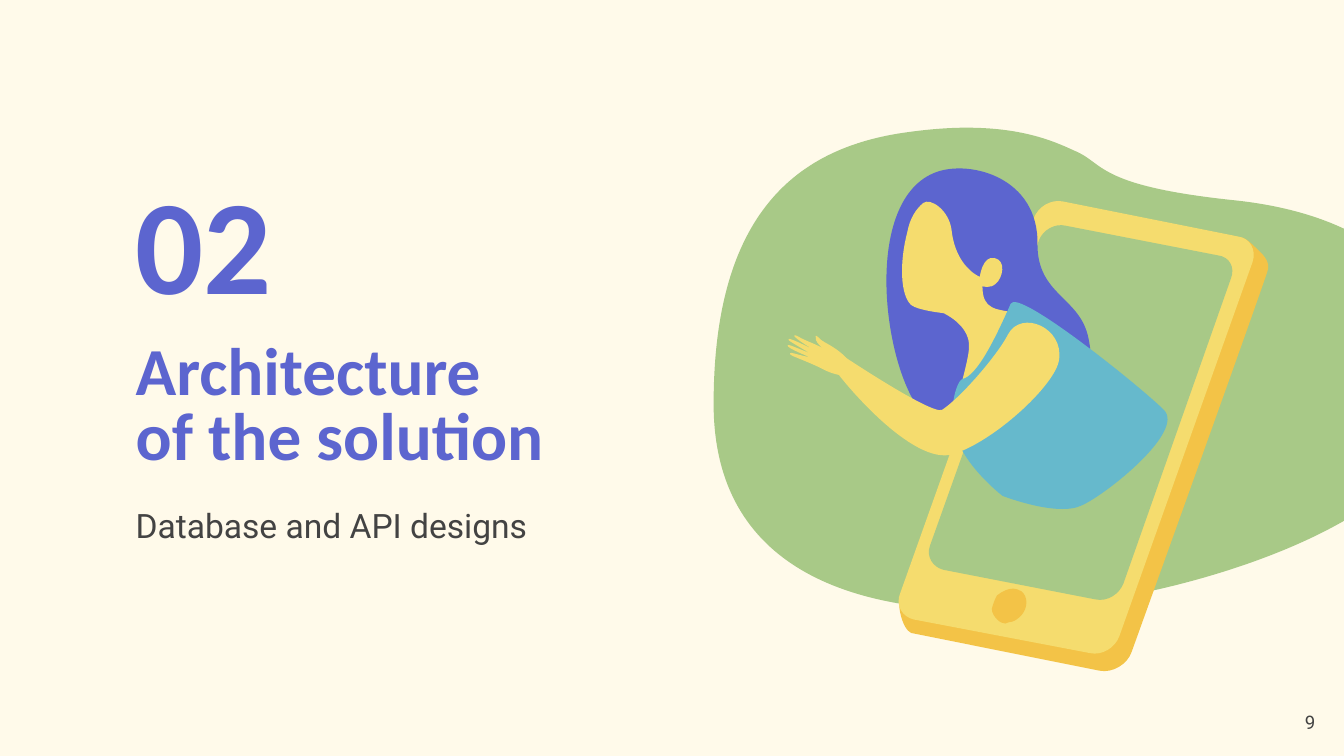
from pptx import Presentation
from pptx.dml.color import RGBColor
from pptx.enum.text import MSO_ANCHOR, MSO_AUTO_SIZE, PP_ALIGN
from pptx.oxml.ns import qn
from pptx.util import Pt

TOP, MIDDLE, BOTTOM = MSO_ANCHOR.TOP, MSO_ANCHOR.MIDDLE, MSO_ANCHOR.BOTTOM
CREAM, INDIGO, GREY = "FFFAEA", "5C65CF", "434343"
GREEN, YELLOW, AMBER, BLUE = "A8C987", "F5DC6E", "F3C347", "66B9CC"

HEADING_FONT = {"name": "Calibri", "bold": True}
BODY_FONT = {"name": "Roboto", "bold": False}
TITLE = ("Architecture\vof the solution", (65.5, 99.4, 306.7, 161.3), BOTTOM,
         INDIGO, {**HEADING_FONT, "size": Pt(36)})
TEXTS = [
    ("Database and API designs", (65.5, 263.5, 229.7, 88.6), TOP,
     GREY, {**BODY_FONT, "size": Pt(18)}),
    ("02", (65.5, 97.9, 150.5, 62.6), MIDDLE,
     INDIGO, {**HEADING_FONT, "size": Pt(72)}),
]
PAGE_NUMBER = ("9", (691.9, 373.7, 29.5, 19.4), TOP,
               GREY, {**BODY_FONT, "size": Pt(10)})

# Outlines: colour, start, then segments; two numbers are a line,
# six are a Bezier curve. One unit is UNIT points.
UNIT = 0.72
BLOB = (GREEN, (719, 95), [
    (707, 95, 693, 96, 678, 98), (598, 108, 532, 153, 531, 297),
    (529, 427, 641, 454, 732, 454), (793, 454, 845, 442, 845, 442),
    (845, 442, 1104, 396, 1078, 262), (1076, 254, 1062, 164, 918, 149),
    (814, 138, 822, 121, 799, 112), (782, 104, 759, 95, 719, 95)])
PHONE = [
    (AMBER, (943, 202), [
        (946, 194, 938, 188, 934, 184), (928, 178, 925, 177, 925, 177),
        (792, 151), (782, 149, 771, 155, 768, 165),
        (670, 444), (667, 448, 671, 468, 678, 471),
        (818, 499), (828, 501, 839, 494, 842, 485),
        (842, 485, 932, 235, 943, 202)]),
    (YELLOW, (932, 195), [
        (935, 186, 930, 177, 921, 176), (791, 150),
        (782, 148, 772, 154, 769, 163), (670, 441),
        (666, 450, 671, 459, 680, 461), (811, 486),
        (820, 488, 830, 482, 833, 473)]),
    (GREEN, (916, 207), [
        (919, 199, 915, 191, 906, 190), (793, 168),
        (785, 166, 776, 171, 773, 179), (692, 406),
        (689, 414, 694, 422, 702, 424), (815, 446),
        (824, 448, 833, 442, 836, 434)]),
    (AMBER, (754, 438), [
        (756, 438, 758, 439, 760, 440), (765, 444, 765, 452, 760, 458),
        (757, 461, 754, 463, 751, 463), (750, 464, 749, 464, 748, 464),
        (746, 464, 744, 463, 742, 461), (740, 459, 738, 456, 738, 453),
        (739, 450, 740, 446, 742, 443), (746, 440, 750, 438, 754, 438)]),
]
HAIR = (INDIGO, (697, 128), [
    (722, 119, 773, 132, 772, 182), (772, 220, 804, 221, 810, 252),
    (825, 321, 731, 363, 686, 307), (657, 273, 641, 148, 697, 128)])
FACE = (YELLOW, (708, 171), [
    (706, 156, 692, 147, 687, 151), (682, 155, 677, 162, 675, 173),
    (669, 196, 670, 220, 678, 227), (683, 231, 702, 233, 702, 233),
    (702, 233, 720, 241, 721, 256), (722, 273, 701, 315, 720, 326),
    (738, 337, 758, 360, 789, 362), (820, 365, 851, 325, 840, 312),
    (816, 284, 795, 238, 758, 233), (741, 230, 731, 231, 731, 213),
    (731, 213, 737, 215, 741, 211), (746, 207, 749, 194, 740, 192),
    (731, 190, 729, 206, 729, 206), (729, 206, 711, 199, 708, 171)])
SHIRT = (BLUE, (746, 369), [
    (746, 369, 721, 350, 712, 327), (704, 307, 712, 283, 716, 282),
    (727, 280, 741, 251, 752, 226), (757, 214, 849, 288, 866, 305),
    (882, 321, 823, 368, 805, 376), (787, 385, 746, 369, 746, 369)])
ARM = (YELLOW, (750, 249), [
    (743, 263, 716, 295, 701, 305), (693, 309, 623, 262, 623, 262),
    (623, 262, 611, 260, 619, 272), (626, 283, 679, 347, 709, 338),
    (739, 329, 785, 287, 788, 268), (792, 244, 760, 230, 750, 249)])
HAND = (YELLOW, (610, 252), [
    (612, 255, 626, 259, 634, 272), (634, 273, 635, 279, 631, 279),
    (628, 280, 620, 279, 611, 274), (605, 271, 595, 267, 590, 265),
    (586, 263, 588, 262, 591, 263), (594, 264, 603, 266, 603, 266),
    (603, 266, 591, 261, 588, 259), (586, 258, 585, 256, 588, 257),
    (591, 258, 603, 263, 603, 263), (603, 263, 591, 256, 588, 254),
    (586, 253, 586, 251, 590, 253), (593, 254, 605, 260, 605, 260),
    (605, 260, 595, 254, 593, 252), (590, 250, 590, 248, 595, 251),
    (598, 253, 607, 256, 612, 259), (610, 257, 606, 254, 607, 250),
    (607, 250, 607, 249, 610, 252)])
WOMAN = [HAIR, FACE, SHIRT, ARM, HAND]


def rgb(value):
    return RGBColor.from_string(value)


def bend_lines(shape, segments):
    """Merge the three lines drawn for each six-number segment into a curve."""
    lines = iter(list(shape._element.iter(qn("a:lnTo"))))
    for segment in segments:
        first = next(lines)
        if len(segment) == 2:
            continue
        for line in (next(lines), next(lines)):
            first.append(line[0])
            line.getparent().remove(line)
        first.tag = qn("a:cubicBezTo")


def draw_outline(shapes, outline):
    color, start, segments = outline
    points = [start]
    for segment in segments:
        points.extend(zip(segment[::2], segment[1::2]))
    scaled = [(Pt(x * UNIT), Pt(y * UNIT)) for x, y in points]
    builder = shapes.build_freeform(*scaled[0])
    builder.add_line_segments(scaled[1:], close=True)
    shape = builder.convert_to_shape()
    bend_lines(shape, segments)
    shape.shadow.inherit = False
    shape.fill.solid()
    shape.fill.fore_color.rgb = rgb(color)
    shape.line.fill.background()


def write_text(shape, text, box, anchor, color, font, line_spacing=1.0):
    for side, length in zip(("left", "top", "width", "height"), box):
        setattr(shape, side, Pt(length))
    frame = shape.text_frame
    frame.text = text
    settings = {"word_wrap": True, "auto_size": MSO_AUTO_SIZE.NONE,
                "vertical_anchor": anchor}
    for side in ("left", "top", "right", "bottom"):
        settings["margin_" + side] = Pt(7.2)
    for key, value in settings.items():
        setattr(frame, key, value)
    paragraph = frame.paragraphs[0]
    paragraph.alignment = PP_ALIGN.LEFT
    paragraph.line_spacing = line_spacing
    for run in paragraph.runs:
        for key, value in font.items():
            setattr(run.font, key, value)
        run.font.color.rgb = rgb(color)


def add_text(slide, content):
    write_text(slide.shapes.add_textbox(0, 0, 0, 0), *content)


def main():
    deck = Presentation()
    deck.slide_width, deck.slide_height = Pt(720), Pt(405)
    slide = deck.slides.add_slide(deck.slide_layouts[5])
    slide.background.fill.solid()
    slide.background.fill.fore_color.rgb = rgb(CREAM)

    write_text(slide.shapes.title, *TITLE, line_spacing=0.8)
    for content in TEXTS:
        add_text(slide, content)
    draw_outline(slide.shapes, BLOB)
    illustration = slide.shapes.add_group_shape()
    for outline in PHONE + WOMAN:
        draw_outline(illustration.shapes, outline)
    add_text(slide, PAGE_NUMBER)
    deck.save("out.pptx")


if __name__ == "__main__":
    main()
